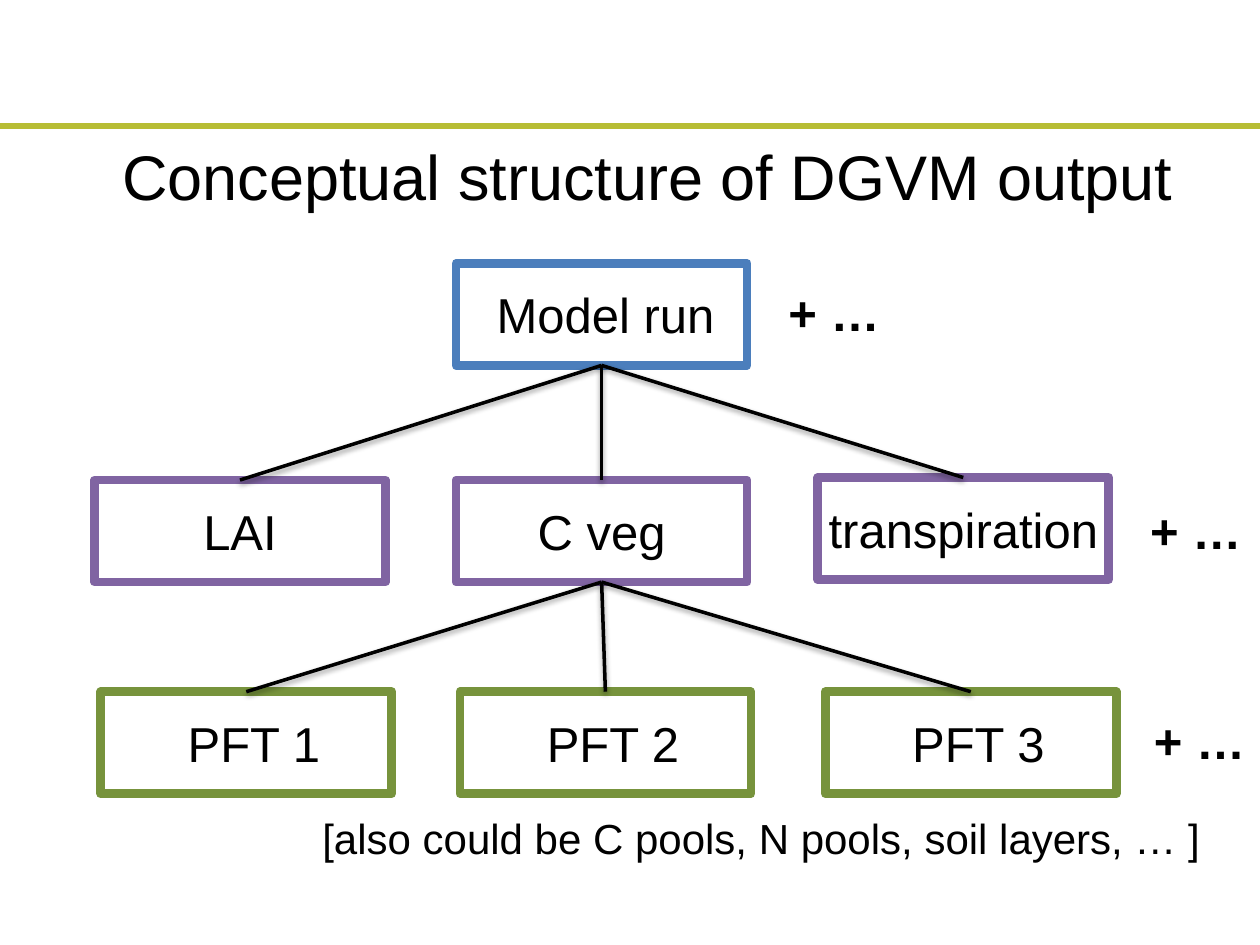
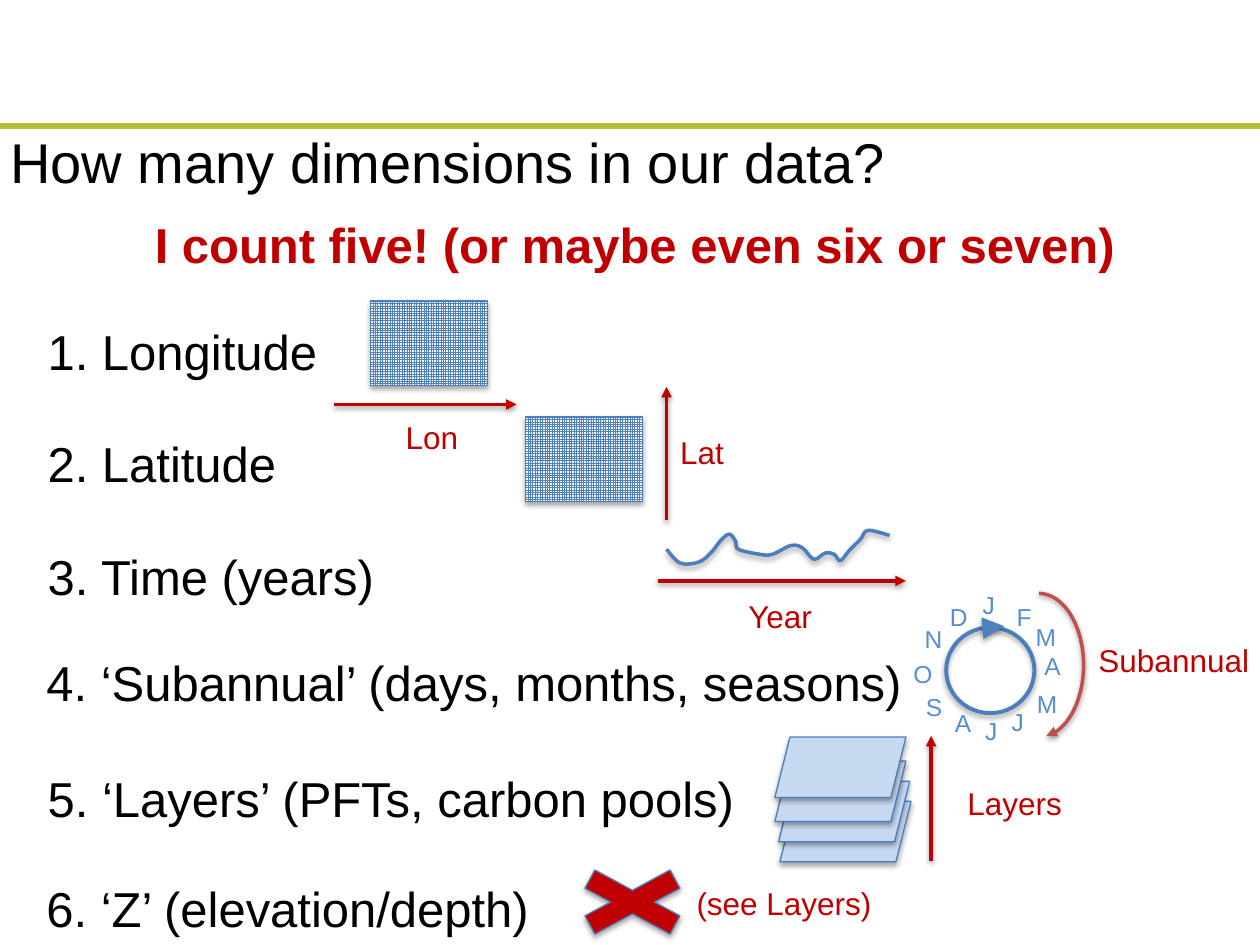
from lxml.etree import Element, SubElement
from pptx import Presentation
from pptx.dml.color import RGBColor
from pptx.enum.dml import MSO_PATTERN
from pptx.enum.shapes import MSO_CONNECTOR, MSO_SHAPE
from pptx.enum.text import MSO_ANCHOR, MSO_AUTO_SIZE, PP_ALIGN
from pptx.oxml.ns import qn
from pptx.util import Pt

EMU_PER_PX = 9144
FONT = "Arial"
COLORS = {
    "ink": "000000",
    "paper": "FFFFFF",
    "rule": "B7BD34",
    "run": "4B7EBC",
    "variable": "8064A2",
    "pft": "77933C",
    "accent": "C00000",
    "grid": "4F81BD",
    "sheet": "C6D9F1",
    "month": "558ED5",
    "season": "C0504D",
}
DIMENSIONS = [
    ("1. Longitude", 28, 250, 237),
    ("2. Latitude", 28, 339, 204),
    ("3. Time (years)", 28, 429, 283),
    ("4. ‘Subannual’ (days, months, seasons)", 27, 513, 708),
    ("5. ‘Layers’ (PFTs, carbon pools)", 28, 605, 572),
    ("6. ‘Z’ (elevation/depth)", 27, 692, 408),
]
CAPTIONS = [
    ("Lon", 312, 327, 72),
    ("Lat", 530, 339, 72),
    ("Year", 584, 469, 72),
    ("Subannual", 862, 504, 164),
    ("Layers", 758, 617, 104),
    ("(see Layers)", 543, 697, 197),
]
AXES = [
    ((265, 321), (410, 321)),
    ((529, 413), (529, 307)),
    ((522, 461), (719, 461)),
    ((739, 683), (739, 584)),
]
MONTHS = [
    ("J", 770, 463), ("F", 797, 473), ("M", 812, 489), ("A", 819, 512),
    ("M", 813, 542), ("J", 793, 556), ("J", 772, 563), ("A", 748, 557),
    ("S", 725, 544), ("O", 715, 518), ("N", 724, 490), ("D", 744, 473),
]
TIME_SERIES = [
    (529, 436), (540, 447), (555, 446), (565, 438), (572, 429), (579, 424),
    (584, 430), (586, 436), (603, 440), (613, 440), (628, 433), (637, 435),
    (646, 444), (655, 439), (662, 440), (667, 445), (674, 437), (683, 428),
    (689, 421), (706, 425),
]
SHEETS = [(619, 636), (618, 620), (615, 604), (615, 585)]


def px(*lengths):
    return [length * EMU_PER_PX for length in lengths]


def rgb(name):
    return RGBColor.from_string(COLORS[name])


def set_line(shape, color, width):
    shape.line.color.rgb = rgb(color)
    shape.line.width = Pt(width)


def set_shadow(shape, opacity=0, distance=0):
    effects = SubElement(shape._element.spPr, qn("a:effectLst"))
    if opacity:
        shadow = SubElement(effects, qn("a:outerShdw"), blurRad="40000",
                            dist=str(distance), dir="5400000", rotWithShape="0")
        black = SubElement(shadow, qn("a:srgbClr"), val=COLORS["ink"])
        SubElement(black, qn("a:alpha"), val=str(opacity * 1000))


def shape_shadow(shape):
    set_shadow(shape, 35, 23000)


def line_shadow(shape):
    set_shadow(shape, 38, 20000)


def add_arrowhead(shape, size="med"):
    outline = shape._element.spPr.find(qn("a:ln"))
    SubElement(outline, qn("a:tailEnd"), type="triangle", w=size, len=size)


def write(frame, text, size, color="ink", bold=False, align=PP_ALIGN.LEFT):
    frame.text = text
    paragraph = frame.paragraphs[0]
    paragraph.alignment = align
    paragraph.font.name = FONT
    paragraph.font.size = Pt(size)
    paragraph.font.bold = bold
    paragraph.font.color.rgb = rgb(color)


def add_text(slide, text, at, size, color="ink", bold=False, wrap=True):
    frame = slide.shapes.add_textbox(*px(*at)).text_frame
    frame.word_wrap = wrap
    write(frame, text, size, color, bold)


def add_line(slide, start, end, color, width):
    line = slide.shapes.add_connector(MSO_CONNECTOR.STRAIGHT, *px(*start, *end))
    set_line(line, color, width)
    return line


def add_arrow(slide, start, end, color="accent", width=2, head="med"):
    arrow = add_line(slide, start, end, color, width)
    add_arrowhead(arrow, head)
    line_shadow(arrow)


def add_preset(slide, preset, at, line, width, fill=None):
    shape = slide.shapes.add_shape(preset, *px(*at))
    if fill:
        shape.fill.solid()
        shape.fill.fore_color.rgb = rgb(fill)
    else:
        shape.fill.background()
    set_line(shape, line, width)
    return shape


def add_node(slide, text, left, top, color, indent=0):
    node = add_preset(slide, MSO_SHAPE.RECTANGLE, (left, top, 231, 81), color, 5)
    node.shadow.inherit = False
    frame = node.text_frame
    frame.word_wrap = False
    frame.vertical_anchor = MSO_ANCHOR.MIDDLE
    frame.margin_left, frame.margin_right = px(indent, 0)
    write(frame, text, 28, align=PP_ALIGN.CENTER)
    return node


def add_branches(slide, parent, children):
    for child in children:
        branch = add_line(slide, (0, 0), (0, 0), "ink", 2)
        branch.begin_connect(parent, 2)
        branch.end_connect(child, 0)
        line_shadow(branch)


def add_curve(slide, points, color, width):
    points = [px(*point) for point in points]
    builder = slide.shapes.build_freeform(*points[0], scale=1.0)
    builder.add_line_segments(points[1:], close=False)
    curve = builder.convert_to_shape()
    left, top = curve.left, curve.top
    padded = [points[0], *points, points[-1]]
    segments = list(curve._element.iter(qn("a:lnTo")))
    for segment, before, start, end, after in zip(
            segments, padded, padded[1:], padded[2:], padded[3:]):
        handles = [
            [s + (e - b) / 6 for b, s, e in zip(before, start, end)],
            [e - (a - s) / 6 for s, e, a in zip(start, end, after)],
        ]
        segment.tag = qn("a:cubicBezTo")
        for index, (x, y) in enumerate(handles):
            segment.insert(index, Element(qn("a:pt"), x=str(round(x - left)),
                                          y=str(round(y - top))))
    curve.fill.background()
    set_line(curve, color, width)
    shape_shadow(curve)


def add_map(slide, left, top):
    grid = add_preset(slide, MSO_SHAPE.RECTANGLE, (left, top, 93, 67), "run", 0.75)
    grid.fill.patterned()
    grid.fill.pattern = MSO_PATTERN.SMALL_GRID
    grid.fill.fore_color.rgb = rgb("grid")
    grid.fill.back_color.rgb = rgb("paper")
    shape_shadow(grid)


def add_titled_slide(deck, text, at, size, align):
    slide = deck.slides.add_slide(deck.slide_layouts[5])
    set_shadow(add_line(slide, (0, 100), (1000, 100), "rule", 4))
    title = slide.shapes.title
    title.left, title.top, title.width, title.height = px(*at)
    frame = title.text_frame
    frame.auto_size = MSO_AUTO_SIZE.NONE
    frame.vertical_anchor = MSO_ANCHOR.TOP
    write(frame, text, size, align=align)
    return slide


def add_structure_slide(deck):
    slide = add_titled_slide(deck, "Conceptual structure of DGVM output",
                             (58, 104, 912, 71), 36, PP_ALIGN.CENTER)
    run = add_node(slide, "Model run", 362, 209, "run", 6)
    variables = [
        add_node(slide, text, left, top, "variable")
        for text, left, top in [("LAI", 75, 381), ("C veg", 362, 381),
                                ("transpiration", 649, 379)]
    ]
    pfts = [
        add_node(slide, f"PFT {number}", left, 549, "pft", 12)
        for number, left in enumerate((80, 365, 655), 1)
    ]
    add_branches(slide, run, variables)
    add_branches(slide, variables[1], pfts)
    for left, top in [(616, 219), (903, 392), (906, 559)]:
        add_text(slide, "+ …", (left, top, 94, 57), 28, bold=True)
    add_text(slide, "[also could be C pools, N pools, soil layers, … ]",
             (246, 640, 732, 50), 24)


def add_year_cycle(slide):
    circle = add_preset(slide, MSO_SHAPE.OVAL, (751, 498, 70, 68), "run", 2.25)
    shape_shadow(circle)
    add_arrow(slide, (786, 498), (797, 497), "grid", 2.5, "lg")
    season = add_preset(slide, MSO_SHAPE.ARC, (789, 471, 71, 114), "season", 2)
    season.adjustments[0] = 162
    season.adjustments[1] = 50.39
    add_arrowhead(season)
    line_shadow(season)
    for month, left, top in MONTHS:
        add_text(slide, month, (left, top, 29, 34), 14, "month")


def add_dimensions_slide(deck):
    slide = add_titled_slide(deck, "How many dimensions in our data?",
                             (-2, 96, 809, 64), 32, PP_ALIGN.LEFT)
    add_text(slide, "I count five! (or maybe even six or seven)",
             (113, 165, 922, 57), 28, "accent", bold=True)
    for text, left, top, width in DIMENSIONS:
        add_text(slide, text, (left, top, width, 57), 28, wrap=False)
    add_map(slide, 294, 239)
    add_map(slide, 417, 331)
    add_curve(slide, TIME_SERIES, "run", 2)
    for left, top in SHEETS:
        shape_shadow(add_preset(slide, MSO_SHAPE.PARALLELOGRAM,
                                (left, top, 104, 48), "run", 0.75, "sheet"))
    shape_shadow(add_preset(slide, MSO_SHAPE.MATH_MULTIPLY,
                            (437, 681, 130, 70), "run", 0.75, "accent"))
    for start, end in AXES:
        add_arrow(slide, start, end)
    for text, left, top, width in CAPTIONS:
        add_text(slide, text, (left, top, width, 40), 18, "accent")
    add_year_cycle(slide)


def main():
    deck = Presentation()
    deck.slide_width, deck.slide_height = px(1000, 750)
    add_structure_slide(deck)
    add_dimensions_slide(deck)
    deck.save("out.pptx")


if __name__ == "__main__":
    main()
